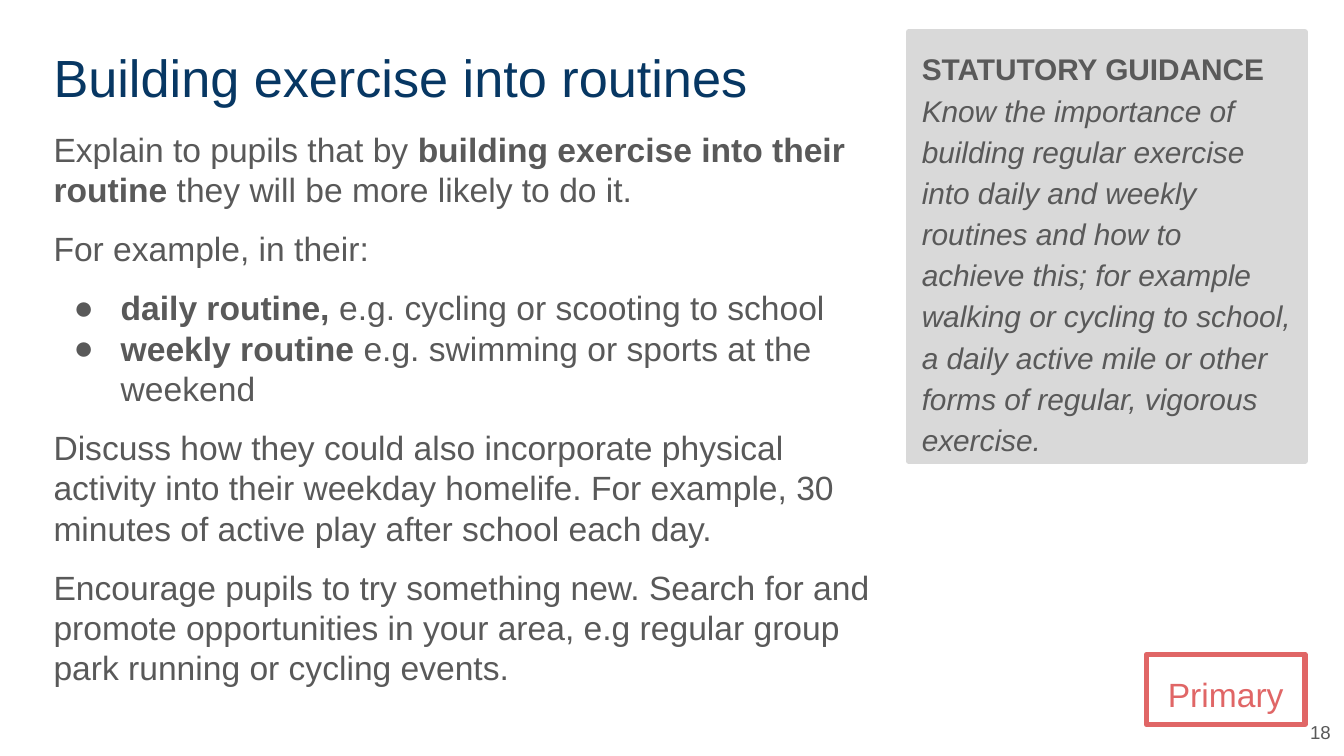
import pptx
import pptx.dml.color
import pptx.enum.shapes
import pptx.enum.text
import pptx.oxml.ns
import pptx.util
from lxml import etree

Inches = pptx.util.Inches
Pt = pptx.util.Pt
Align = pptx.enum.text.PP_ALIGN
Anchor = pptx.enum.text.MSO_ANCHOR
qn = pptx.oxml.ns.qn

COLORS = {"navy": "073763", "text": "595959", "panel": "D9D9D9", "coral": "E06666"}


def add_box(left, top, width, height, fill=None, line=None):
    """Add a text box, or a rectangle when an outline colour is given."""
    frame = [Inches(value) for value in (left, top, width, height)]
    if line:
        box = slide.shapes.add_shape(pptx.enum.shapes.MSO_SHAPE.RECTANGLE, *frame)
        box.shadow.inherit = False
        box.line.color.rgb = pptx.dml.color.RGBColor.from_string(COLORS[line])
        box.line.width = Pt(3)
        etree.SubElement(box.line._get_or_add_ln(), qn("a:round"))
        if fill:
            box.fill.solid()
            box.fill.fore_color.rgb = pptx.dml.color.RGBColor.from_string(COLORS[fill])
        else:
            box.fill.background()
    else:
        box = slide.shapes.add_textbox(*frame)
    text = box.text_frame
    text.word_wrap = True
    text.vertical_anchor = Anchor.TOP
    text.margin_left = text.margin_right = Inches(0.1)
    text.margin_top = text.margin_bottom = Inches(0.1)
    return text


def style(paragraph, size, color, align=Align.LEFT):
    paragraph.alignment = align
    paragraph.font.name = "Arial"
    paragraph.font.size = Pt(size)
    paragraph.font.color.rgb = pptx.dml.color.RGBColor.from_string(COLORS[color])


# Widescreen slide, 16:9
deck = pptx.Presentation()
deck.slide_width = Inches(10)
deck.slide_height = deck.slide_width * 9 // 16
slide = deck.slides.add_slide(deck.slide_layouts[6])

# Title
title = add_box(0.3, 0.24, 6.41, 0.63).paragraphs[0]
title.text = "Building exercise into routines"
style(title, 28, "navy")

# Teaching notes: (bulleted, space before, [(text, bold), ...])
advice = [
    (False, 0, [("Explain to pupils that by ", False),
                ("building exercise into their routine", True),
                (" they will be more likely to do it.", False)]),
    (False, 10, [("For example, in their:", False)]),
    (True, 10, [("daily routine,", True),
                (" e.g. cycling or scooting to school", False)]),
    (True, 0, [("weekly routine ", True),
               ("e.g. swimming or sports at the weekend", False)]),
    (False, 10, [("Discuss how they could also incorporate physical activity into their "
                  "weekday homelife. For example, 30 minutes of active play after school "
                  "each day.", False)]),
    (False, 10, [("Encourage pupils to try something new. Search for and promote "
                  "opportunities in your area, e.g regular group park running or cycling "
                  "events.", False)]),
]
advice_box = add_box(0.3, 0.86, 6.41, 4.01)
for index, (bulleted, space, pieces) in enumerate(advice):
    point = advice_box.add_paragraph() if index else advice_box.paragraphs[0]
    point.space_before = Pt(space)
    if bulleted:
        properties = point._p.get_or_add_pPr()
        properties.set("marL", str(Inches(0.5)))
        properties.set("indent", str(Inches(-0.35)))
        bullet_color = etree.SubElement(properties, qn("a:buClr"))
        etree.SubElement(bullet_color, qn("a:srgbClr"), val=COLORS["text"])
        etree.SubElement(properties, qn("a:buFont"), typeface="Arial")
        etree.SubElement(properties, qn("a:buChar"), char="●")
    style(point, 18, "text")
    for words, bold in pieces:
        run = point.add_run()
        run.text = words
        run.font.bold = bold

# Page number
number_box = add_box(9.61, 5.26, 0.39, 0.37)
number_box.vertical_anchor = Anchor.MIDDLE
number = number_box.paragraphs[0]
number.text = "18"
style(number, 10, "text", Align.RIGHT)

# Statutory guidance panel
guidance = add_box(6.76, 0.24, 2.95, 3.19, fill="panel", line="panel").paragraphs[0]
guidance.line_spacing = 1.15
style(guidance, 16, "text")
heading = guidance.add_run()
heading.text = "STATUTORY GUIDANCE"
heading.font.bold = True
guidance.add_line_break()
requirement = guidance.add_run()
requirement.text = (
    "Know the importance of building regular exercise into daily and weekly routines "
    "and how to achieve this; for example walking or cycling to school, a daily active "
    "mile or other forms of regular, vigorous exercise."
)
requirement.font.italic = True

# School phase label
phase = add_box(8.53, 4.87, 1.18, 0.52, line="coral").paragraphs[0]
phase.text = "Primary"
phase.line_spacing = 1.15
style(phase, 18, "coral", Align.CENTER)

deck.save("out.pptx")
